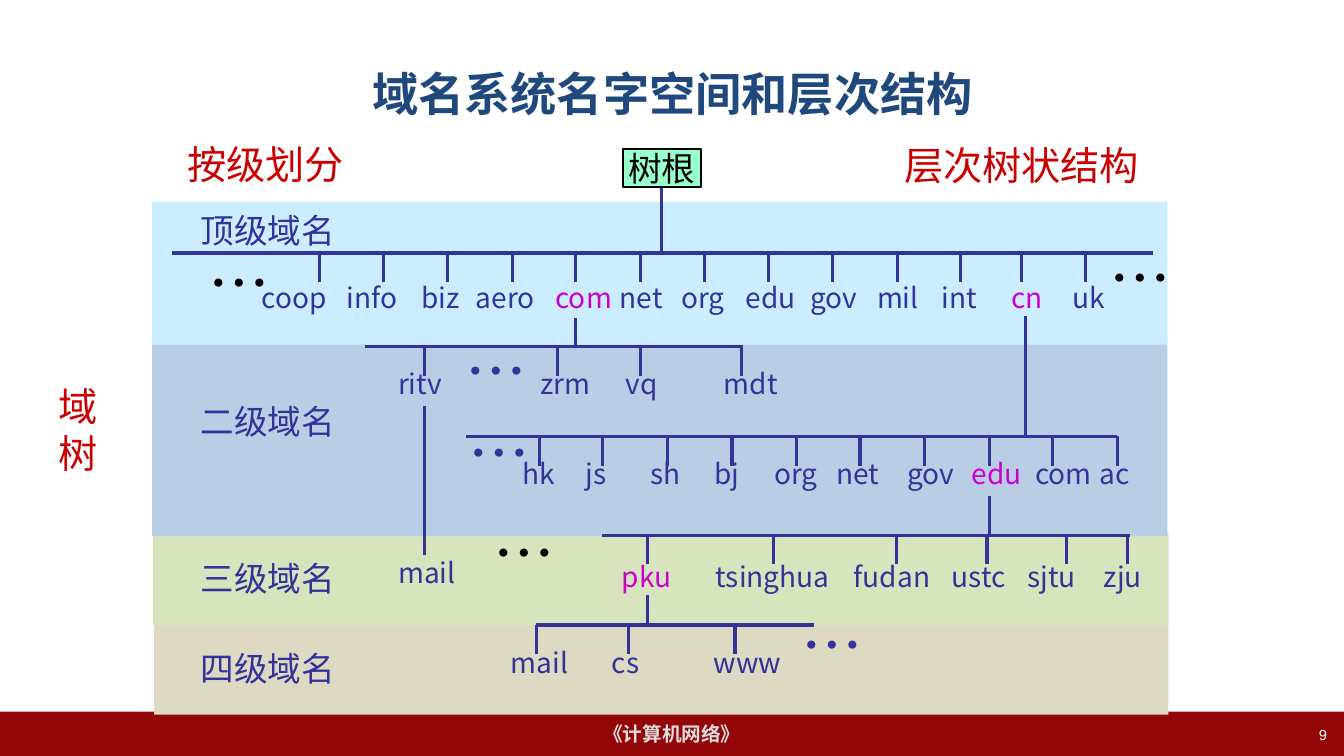
from dataclasses import dataclass

from lxml import etree
from pptx import Presentation
from pptx.dml.color import RGBColor
from pptx.enum.shapes import MSO_CONNECTOR, MSO_SHAPE
from pptx.enum.text import MSO_ANCHOR, PP_ALIGN
from pptx.oxml.ns import qn
from pptx.util import Inches, Pt

RECTANGLE = MSO_SHAPE.RECTANGLE
STRAIGHT = MSO_CONNECTOR.STRAIGHT
MIDDLE = MSO_ANCHOR.MIDDLE
LEFT, CENTER, RIGHT = PP_ALIGN.LEFT, PP_ALIGN.CENTER, PP_ALIGN.RIGHT


@dataclass(frozen=True)
class Theme:
    """Colours, fonts and type sizes of the slide."""
    latin: str = "Arial"
    cjk: str = "Noto Sans CJK SC"
    title: str = "1F497D"
    tree: str = "333399"
    highlight: str = "CC00CC"
    heading: str = "CC0000"
    black: str = "000000"
    root: str = "99FFCC"
    footer: str = "940709"
    footer_text: str = "DDDDDD"
    white: str = "FFFFFF"
    top_band: str = "CCECFF"
    second_band: str = "B9CDE5"
    third_band: str = "D7E4BD"
    fourth_band: str = "DDD9C3"
    title_size: float = 33
    dots_size: float = 44
    heading_size: float = 28
    level_size: float = 24
    node_size: float = 20
    footer_size: float = 14
    number_size: float = 10.5
    line_width: float = 2.25
    outline_width: float = 1.5


THEME = Theme()
TITLE = "域名系统名字空间和层次结构"
FOOTER = "《计算机网络》"
PAGE_NUMBER = "9"
ROOT = "树根"
HIGHLIGHTED = {("top", "com"), ("top", "cn"), ("cn", "edu"), ("edu", "pku")}

BANDS = [
    (THEME.third_band, (1.52, 5.29, 10.07, 0.92)),
    (THEME.fourth_band, (1.53, 6.21, 10.06, 0.88)),
    (THEME.second_band, (1.51, 3.35, 10.07, 1.97)),
    (THEME.top_band, (1.51, 2, 10.07, 1.42)),
]
LEVELS = [("顶级域名", 2.03), ("二级域名", 3.93), ("三级域名", 5.49), ("四级域名", 6.38)]
HEADINGS = [
    (["层次树状结构"], (8.87, 1.35, 2.56, 0.57)),
    (["按级划分"], (1.76, 1.34, 1.77, 0.57)),
    (["域", "树"], (0.48, 3.74, 0.73, 1.04)),
]
BRANCHES = {
    "top": (1.71, 11.44, 2.51, 2.73, [
        ("coop", 2.5, 0.88, 3.17), ("info", 3.34, 0.72, 3.8), ("biz", 4.08, 0.59, 4.44),
        ("aero", 4.62, 0.8, 5.08), ("com", 5.41, 0.78, 5.71), ("net", 6.05, 0.64, 6.35),
        ("org", 6.66, 0.66, 6.99), ("edu", 7.3, 0.71, 7.62), ("gov", 7.94, 0.71, 8.26),
        ("mil", 8.6, 0.61, 8.9), ("int", 9.24, 0.55, 9.53), ("cn", 9.93, 0.52, 10.13),
        ("uk", 10.54, 0.53, 10.77)]),
    "com": (3.62, 7.37, 3.44, 3.59, [
        ("ritv", 3.85, 0.74, 4.21), ("zrm", 5.26, 0.72, 5.53), ("vq", 6.11, 0.55, 6.35),
        ("mdt", 7.08, 0.75, 7.35)]),
    "cn": (4.62, 11.08, 4.33, 4.48, [
        ("hk", 5.08, 0.53, 5.35), ("js", 5.71, 0.41, 5.98), ("sh", 6.35, 0.5, 6.62),
        ("bj", 6.99, 0.46, 7.26), ("org", 7.58, 0.66, 7.9), ("net", 8.2, 0.64, 8.53),
        ("gov", 8.9, 0.71, 9.17), ("edu", 9.54, 0.71, 9.81), ("com", 10.17, 0.78, 10.44),
        ("ac", 10.81, 0.5, 11.08)]),
    "edu": (5.97, 11.21, 5.31, 5.5, [
        ("pku", 6.07, 1.36, 6.42), ("tsinghua", 7, 1.96, 7.67), ("fudan", 8.37, 0.98, 8.89),
        ("ustc", 9.34, 0.86, 9.79), ("sjtu", 10.09, 0.68, 10.58), ("zju", 10.85, 0.66, 11.18)]),
    "pku": (5.32, 8.07, 6.2, 6.35, [
        ("mail", 4.97, 0.77, 5.32), ("cs", 5.97, 0.47, 6.23), ("www", 6.98, 0.87, 7.29)]),
}
TICK = 0.29
STEMS = [(6.56, 1.85, 2.53), (5.71, 3.15, 3.44), (10.17, 3.14, 4.33),
         (9.81, 4.92, 5.31), (6.42, 5.9, 6.2), (4.21, 4.03, 5.51)]
DEEP_MAIL = ("mail", (3.85, 5.46, 0.77, 0.44))
DOTS = [(10.91, 2.33, THEME.black), (1.97, 2.38, THEME.black), (4.8, 5.06, THEME.black),
        (4.55, 4.07, THEME.tree), (4.52, 3.25, THEME.tree), (7.85, 5.97, THEME.tree)]


def write(shape, lines, size, color, font=THEME.cjk, align=LEFT, bold=False):
    """Fill a shape with formatted paragraphs."""
    frame = shape.text_frame
    frame.text = "\n".join(lines)
    for paragraph in frame.paragraphs:
        paragraph.alignment = align
        paragraph.font.size = Pt(size)
        paragraph.font.bold = bold
        paragraph.font.color.rgb = RGBColor.from_string(color)
        paragraph.font.name = font
        if font == THEME.cjk:
            properties = paragraph._p.pPr.find(qn("a:defRPr"))
            etree.SubElement(properties, qn("a:ea")).set("typeface", font)
    return frame


def add_text(slide, lines, box, size, color, wrap=False, **style):
    """Add a text box."""
    shape = slide.shapes.add_textbox(*map(Inches, box))
    write(shape, lines, size, color, **style).word_wrap = wrap


def add_box(slide, box, fill, outline=None):
    """Add a filled rectangle."""
    shape = slide.shapes.add_shape(RECTANGLE, *map(Inches, box))
    shape.shadow.inherit = False
    shape.fill.solid()
    shape.fill.fore_color.rgb = RGBColor.from_string(fill)
    if outline:
        shape.line.color.rgb = RGBColor.from_string(outline)
        shape.line.width = Pt(THEME.outline_width)
    else:
        shape.line.fill.background()
    return shape


def add_line(slide, *ends):
    """Add a tree line from x, y to x, y."""
    line = slide.shapes.add_connector(STRAIGHT, *map(Inches, ends))
    line.line.color.rgb = RGBColor.from_string(THEME.tree)
    line.line.width = Pt(THEME.line_width)
    etree.SubElement(line._element.spPr, qn("a:effectLst"))


def add_branch(slide, parent, left, right, bar, label_top, nodes):
    """Draw a bar with its ticks and labels."""
    add_line(slide, left, bar, right, bar)
    for name, label_left, width, tick in nodes:
        add_line(slide, tick, bar, tick, bar + TICK)
        color = THEME.highlight if (parent, name) in HIGHLIGHTED else THEME.tree
        add_text(slide, [name], (label_left, label_top, width, 0.44), THEME.node_size, color)


def main():
    """Build and save the domain tree slide."""
    presentation = Presentation()
    presentation.slide_width, presentation.slide_height = Inches(13.33), Inches(7.5)
    slide = presentation.slides.add_slide(presentation.slide_layouts[5])

    title = slide.shapes.title
    title.left, title.top, title.width, title.height = map(Inches, (0.67, 0.3, 12, 1.25))
    frame = write(title, [TITLE], THEME.title_size, THEME.title, THEME.latin, CENTER, True)
    frame.vertical_anchor = MIDDLE

    footer = add_box(slide, (0, 7.06, 13.33, 0.44), THEME.footer)
    frame = write(footer, [FOOTER], THEME.footer_size, THEME.footer_text, THEME.latin, CENTER, True)
    frame.vertical_anchor = MIDDLE
    add_text(slide, [PAGE_NUMBER], (10.15, 7.15, 3.11, 0.35), THEME.number_size, THEME.white,
             wrap=True, font=THEME.latin, align=RIGHT)

    for fill, box in BANDS:
        add_box(slide, box, fill)
    for x, top, bottom in STEMS:
        add_line(slide, x, top, x, bottom)
    for parent, branch in BRANCHES.items():
        add_branch(slide, parent, *branch)

    root = add_box(slide, (6.18, 1.48, 0.77, 0.38), THEME.root, THEME.black)
    frame = write(root, [ROOT], THEME.level_size, THEME.black, align=CENTER)
    frame.vertical_anchor = MIDDLE
    frame.word_wrap = False

    name, box = DEEP_MAIL
    add_text(slide, [name], box, THEME.node_size, THEME.tree)
    for left, top, color in DOTS:
        add_text(slide, ["…"], (left, top, 0.7, 0.84), THEME.dots_size, color)
    for name, top in LEVELS:
        add_text(slide, [name], (1.89, top, 1.54, 0.5), THEME.level_size, THEME.tree)
    for lines, box in HEADINGS:
        add_text(slide, lines, box, THEME.heading_size, THEME.heading)
    presentation.save("out.pptx")


if __name__ == "__main__":
    main()
